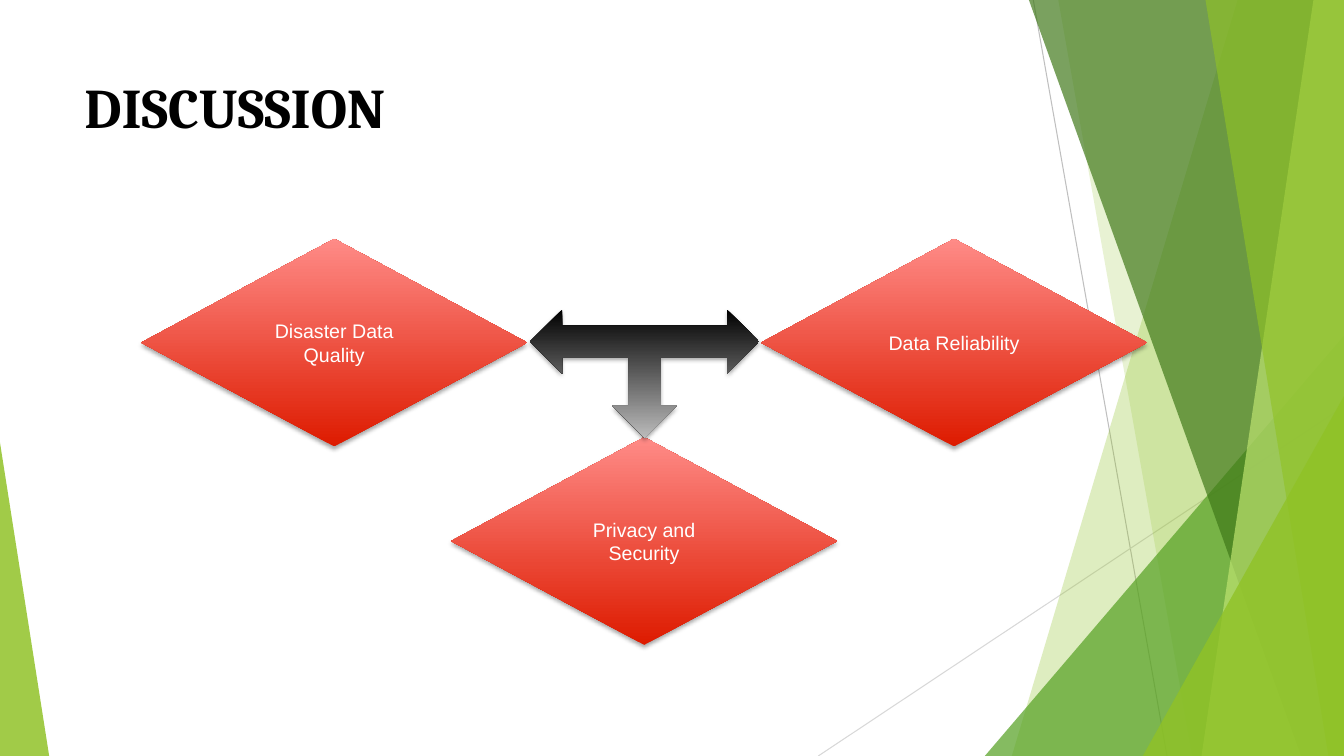
from lxml import etree
from pptx import Presentation
from pptx.dml.color import RGBColor
from pptx.enum.shapes import MSO_CONNECTOR, MSO_SHAPE
from pptx.enum.text import MSO_ANCHOR, PP_ALIGN
from pptx.oxml.ns import qn
from pptx.util import Cm, Pt

STRAIGHT = MSO_CONNECTOR.STRAIGHT
TRIANGLE = MSO_SHAPE.ISOSCELES_TRIANGLE
DIAMOND = MSO_SHAPE.FLOWCHART_DECISION
THREE_WAY_ARROW = MSO_SHAPE.LEFT_RIGHT_UP_ARROW
TOP, MIDDLE = MSO_ANCHOR.TOP, MSO_ANCHOR.MIDDLE
LEFT, CENTER = PP_ALIGN.LEFT, PP_ALIGN.CENTER

WIDTH, HEIGHT = 33.87, 19.05
COLORS = {
    "lime": "90C226", "green": "54A021", "forest": "3F7818", "pale": "BFE471",
    "gray": "BFBFBF", "light gray": "D8D8D8", "silver": "BABABA",
    "red": "DD1B00", "pink": "FF8B87", "black": "000000", "white": "FFFFFF",
}
TITLE_FONT = {"name": "Cambria", "size": Pt(40), "bold": True}
LABEL_FONT = {"name": "Arial", "size": Pt(14)}


def color(name):
    return RGBColor.from_string(COLORS[name])


class SlideBuilder:
    def __init__(self, slide):
        self.slide = slide
        self.shapes = slide.shapes

    def line(self, start, end, color_name):
        connector = self.shapes.add_connector(STRAIGHT, *map(Cm, start + end))
        connector.line.color.rgb = color(color_name)
        connector.line.width = Pt(0.75)
        etree.SubElement(connector._element.spPr, qn("a:effectLst"))

    def tint(self, shape, color_name, opacity):
        """Fill a shape with a partly transparent colour and no outline."""
        shape.shadow.inherit = False
        shape.line.fill.background()
        shape.fill.solid()
        shape.fill.fore_color.rgb = color(color_name)
        value = shape._element.spPr.find(qn("a:solidFill"))[0]
        etree.SubElement(value, qn("a:alpha"), val=str(opacity * 1000))

    def facet(self, top_left, bottom_left, color_name, opacity):
        """Draw a full-height panel from a slanted left side to the slide edge."""
        builder = self.shapes.build_freeform(Cm(top_left), 0)
        corners = [(WIDTH, 0), (WIDTH, HEIGHT), (bottom_left, HEIGHT)]
        builder.add_line_segments([(Cm(x), Cm(y)) for x, y in corners])
        self.tint(builder.convert_to_shape(), color_name, opacity)

    def corner(self, left, top, width, apex, color_name, opacity):
        """Draw a right triangle that stands on the bottom edge."""
        shape = self.shapes.add_shape(
            TRIANGLE, *map(Cm, (left, top, width, HEIGHT - top)))
        shape.adjustments[0] = apex
        self.tint(shape, color_name, opacity)

    def glossy(self, kind, box, bottom_color, top_color):
        """Draw a shape with an upward gradient and a soft shadow."""
        shape = self.shapes.add_shape(kind, *map(Cm, box))
        shape.line.fill.background()
        shape.fill.gradient()
        shape.fill.gradient_angle = 90
        for stop, name, position in zip(
                shape.fill.gradient_stops, (bottom_color, top_color), (0, 1)):
            stop.color.rgb = color(name)
            stop.position = position
        shape.shadow.inherit = False
        effects = shape._element.spPr.find(qn("a:effectLst"))
        shadow = etree.SubElement(
            effects, qn("a:outerShdw"), blurRad=str(Pt(3.1)), dist=str(Pt(1.8)),
            dir="5400000", rotWithShape="0")
        value = etree.SubElement(shadow, qn("a:srgbClr"), val=COLORS["black"])
        etree.SubElement(value, qn("a:alpha"), val="35000")
        return shape

    def set_text(self, shape, text, font, color_name, anchor, alignment):
        frame = shape.text_frame
        frame.word_wrap = True
        frame.vertical_anchor = anchor
        paragraph = frame.paragraphs[0]
        paragraph.alignment = alignment
        run = paragraph.add_run()
        run.text = text
        for key, value in font.items():
            setattr(run.font, key, value)
        run.font.color.rgb = color(color_name)

    def title(self, text, box):
        shape = self.shapes.add_textbox(*map(Cm, box))
        self.set_text(shape, text, TITLE_FONT, "black", TOP, LEFT)

    def diamond(self, text, left, top):
        shape = self.glossy(DIAMOND, (left, top, 9.73, 5.23), "red", "pink")
        self.set_text(shape, text, LABEL_FONT, "white", MIDDLE, CENTER)

    def arrow(self, box):
        shape = self.glossy(THREE_WAY_ARROW, box, "black", "silver")
        shape.rotation = 180


def draw_background(builder):
    builder.line((26.04, 0), (29.41, HEIGHT), "gray")
    builder.line((WIDTH, 10.24), (20.62, HEIGHT), "light gray")
    builder.facet(31.19, 25.5, "lime", 29)
    builder.facet(26.67, 30.05, "lime", 20)
    builder.corner(24.82, 8.46, 9.05, 1, "green", 71)
    builder.facet(25.93, 32.79, "forest", 69)
    builder.facet(33.1, 30.28, "pale", 69)
    builder.facet(30.38, 33.48, "lime", 64)
    builder.corner(28.8, 9.98, 5.07, 1, "lime", 80)
    builder.corner(0, 11.15, 1.24, 0, "lime", 84)


def main():
    presentation = Presentation()
    presentation.slide_width, presentation.slide_height = Cm(WIDTH), Cm(HEIGHT)
    builder = SlideBuilder(
        presentation.slides.add_slide(presentation.slide_layouts[6]))
    draw_background(builder)
    builder.title("DISCUSSION", (1.88, 1.7, 23.88, 3.66))

    left, step, upper, lower = 3.56, 7.81, 6.02, 11.02
    builder.diamond("Disaster Data Quality", left, upper)
    builder.diamond("Data Reliability", left + 2 * step, upper)
    builder.diamond("Privacy and Security", left + step, lower)
    builder.arrow((13.36, 7.8, 5.77, 3.23))
    presentation.save("out.pptx")


if __name__ == "__main__":
    main()
